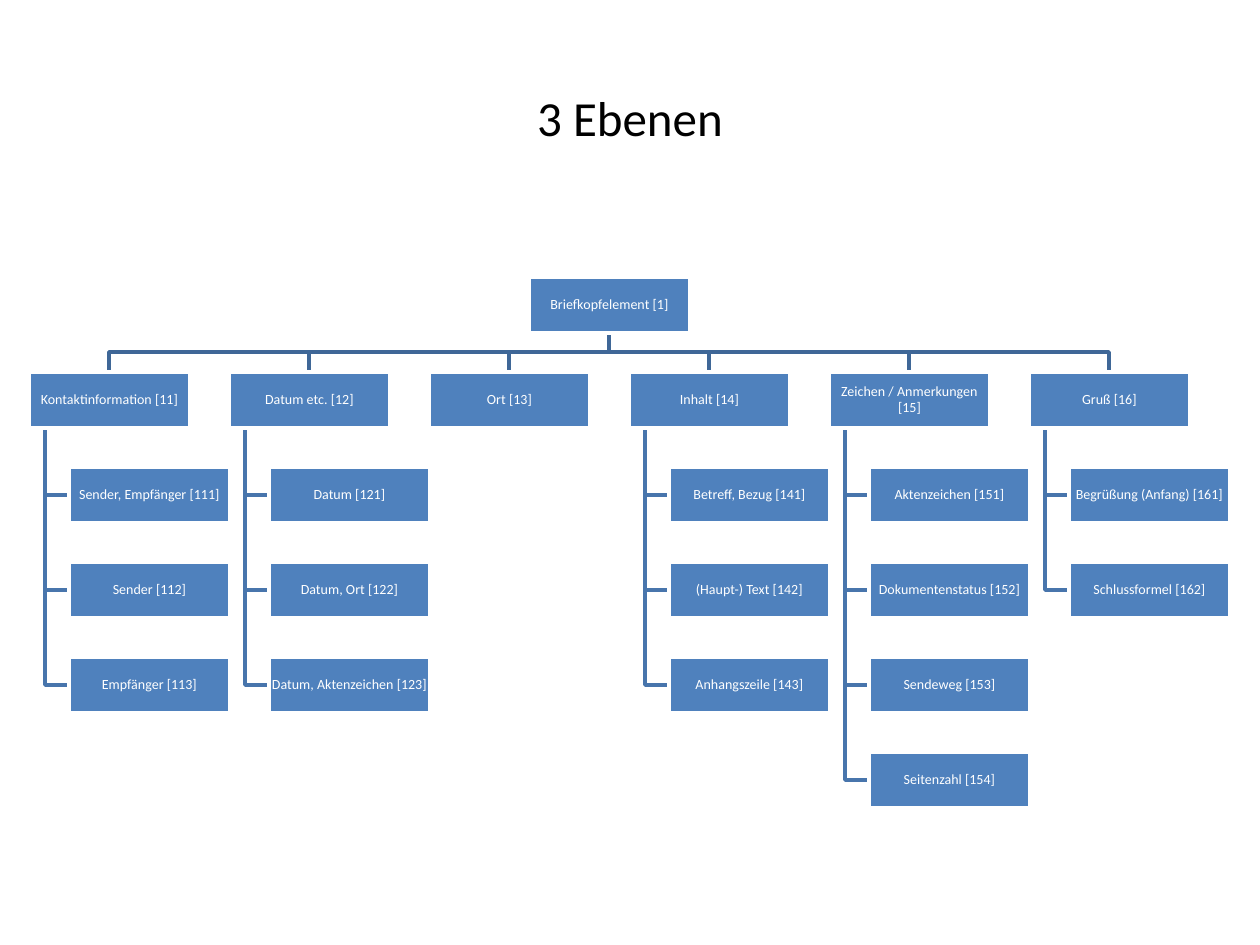
import pptx
import pptx.util
import pptx.dml.color
import pptx.enum.shapes
import pptx.enum.text

SCALE = 914400 / 126
WIDE, HIGH = 161, 56
COL, ROW = 200, 95
INSET, SPINE = 40, 16

TREE = [
    ("Kontaktinformation [11]",
     ["Sender, Empfänger [111]", "Sender [112]", "Empfänger [113]"]),
    ("Datum etc. [12]",
     ["Datum [121]", "Datum, Ort [122]", "Datum, Aktenzeichen [123]"]),
    ("Ort [13]", []),
    ("Inhalt [14]",
     ["Betreff, Bezug [141]", "(Haupt-) Text [142]", "Anhangszeile [143]"]),
    ("Zeichen / Anmerkungen [15]",
     ["Aktenzeichen [151]", "Dokumentenstatus [152]", "Sendeweg [153]",
      "Seitenzahl [154]"]),
    ("Gruß [16]", ["Begrüßung (Anfang) [161]", "Schlussformel [162]"]),
]


def px(n):
    """Turn pixels into EMU."""
    return pptx.util.Emu(round(n * SCALE))


def color(code):
    """Turn a hex string into a colour."""
    return pptx.dml.color.RGBColor.from_string(code)


def write(shape, text, size, ink, pad):
    """Set centred text in a shape."""
    frame = shape.text_frame
    frame.text = text
    frame.word_wrap = True
    frame.vertical_anchor = pptx.enum.text.MSO_ANCHOR.MIDDLE
    frame.margin_left = frame.margin_right = px(pad)
    frame.margin_top = frame.margin_bottom = px(pad)
    para = frame.paragraphs[0]
    para.alignment = pptx.enum.text.PP_ALIGN.CENTER
    font = para.runs[0].font
    font.name = "Calibri"
    font.size = pptx.util.Pt(size)
    font.color.rgb = color(ink)
    return para


def outline(shape, code):
    """Give a shape a two-point line and no shadow."""
    shape.shadow.inherit = False
    shape.line.color.rgb = color(code)
    shape.line.width = pptx.util.Pt(2)


def node(slide, left, top, text):
    """Draw one labelled box."""
    kind = pptx.enum.shapes.MSO_SHAPE.RECTANGLE
    box = slide.shapes.add_shape(kind, px(left), px(top), px(WIDE), px(HIGH))
    box.fill.solid()
    box.fill.fore_color.rgb = color("4F81BD")
    outline(box, "FFFFFF")
    write(box, text, 8, "FFFFFF", 1).line_spacing = 0.9


def elbow(slide, points, code):
    """Draw an open line through the points."""
    pen = slide.shapes.build_freeform(*points[0], scale=SCALE)
    pen.add_line_segments(points[1:], close=False)
    line = pen.convert_to_shape()
    line.fill.background()
    outline(line, code)


def title(slide, left, top, width, height, text):
    """Place the heading."""
    box = slide.shapes.add_textbox(px(left), px(top), px(width), px(height))
    write(box, text, 28, "000000", 6)


def branch(slide, left, top, name, leaves):
    """Draw a column head and its leaves."""
    spine = left + SPINE
    tops = [top + ROW * n for n in range(1, len(leaves) + 1)]
    for y in tops:
        mid = y + HIGH // 2
        elbow(slide, [(spine, top + HIGH), (spine, mid), (left + INSET, mid)],
              "4875AC")
    node(slide, left, top, name)
    for y, leaf in zip(tops, leaves):
        node(slide, left + INSET, y, leaf)


def chart(slide, left, top, name, tree):
    """Draw the root, its links and every branch."""
    half = WIDE // 2
    root = left + COL * (len(tree) - 1) // 2
    foot, head = top + HIGH, top + ROW
    bar = (foot + head) // 2
    lefts = [left + COL * n for n in range(len(tree))]
    for x in lefts:
        elbow(slide, [(root + half, foot), (root + half, bar),
                      (x + half, bar), (x + half, head)], "3F6797")
    node(slide, root, top, name)
    for x, (label, leaves) in zip(lefts, tree):
        branch(slide, x, head, label, leaves)


def main():
    """Build and save the slide."""
    deck = pptx.Presentation()
    deck.slide_width, deck.slide_height = px(1260), px(945)
    slide = deck.slides.add_slide(deck.slide_layouts[6])
    title(slide, 63, 38, 1134, 157, "3 Ebenen")
    chart(slide, 29, 277, "Briefkopfelement [1]", TREE)
    deck.save("out.pptx")


main()
